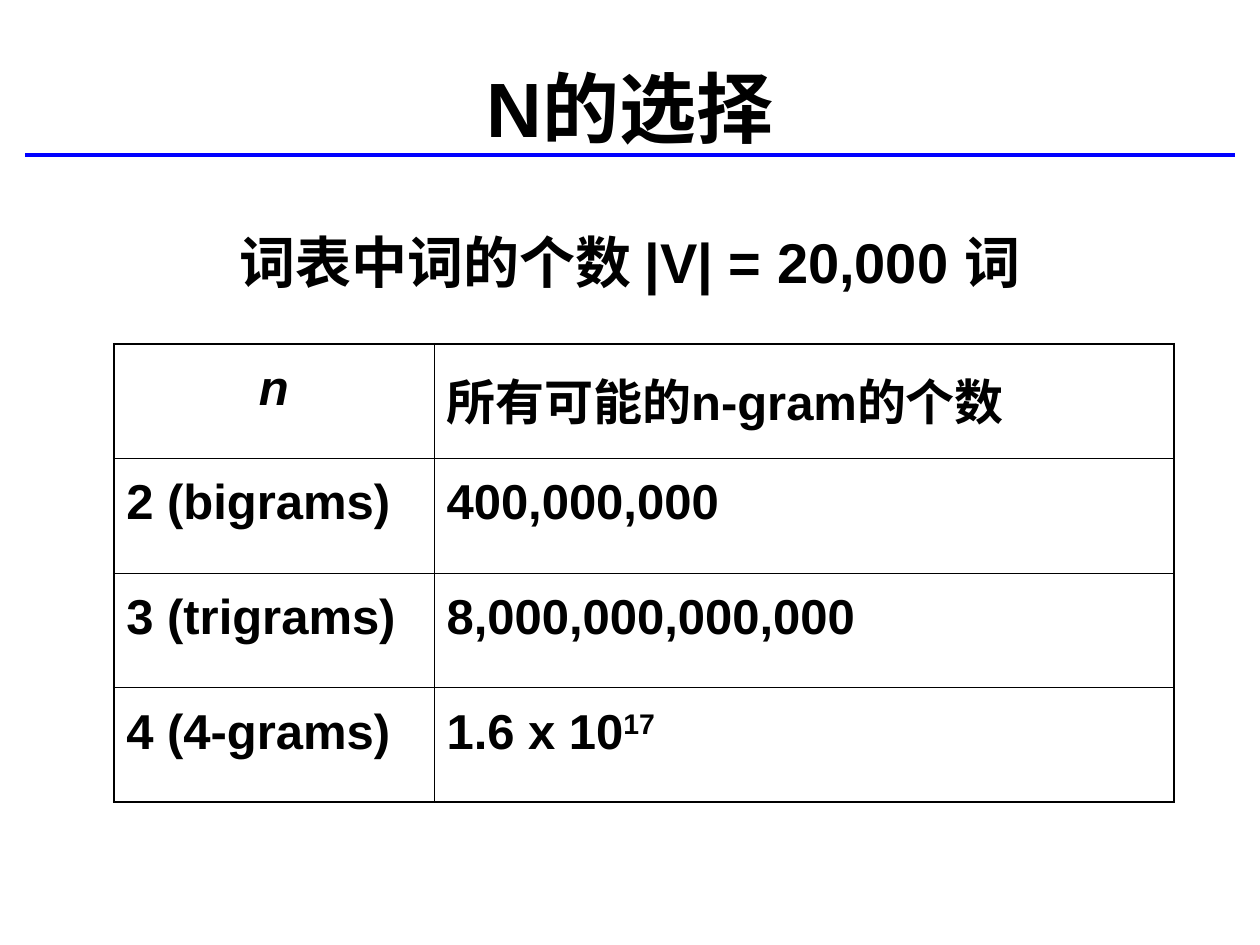
from dataclasses import dataclass

from lxml import etree
from pptx import Presentation
from pptx import util as u
from pptx.dml import color
from pptx.enum import shapes, text
from pptx.oxml import ns

FONT = "Arial"
BLACK = "000000"
BLUE = "0000FF"
OUTER_BORDER = u.Pt(1.08)
INNER_BORDER = u.Pt(0.45)


@dataclass
class Entry:
    text: str
    superscript: str = ""
    italic: bool = False
    centred: bool = False


COLUMN_WIDTHS = (183, 423)
ROW_HEIGHT = 65.5
ROWS = (
    (Entry("n", italic=True, centred=True), Entry("所有可能的n-gram的个数")),
    (Entry("2 (bigrams)"), Entry("400,000,000")),
    (Entry("3 (trigrams)"), Entry("8,000,000,000,000")),
    (Entry("4 (4-grams)"), Entry("1.6 x 10", superscript="17")),
)


def rgb(value: str) -> color.RGBColor:
    return color.RGBColor.from_string(value)


def style_paragraph(paragraph, size: float, centred: bool, italic: bool = False) -> None:
    paragraph.alignment = text.PP_ALIGN.CENTER if centred else text.PP_ALIGN.LEFT
    font = paragraph.font
    font.name = FONT
    font.size = u.Pt(size)
    font.bold = True
    font.italic = italic
    font.color.rgb = rgb(BLACK)


def add_rule(slide) -> None:
    rule = slide.shapes.add_connector(
        shapes.MSO_CONNECTOR.STRAIGHT, u.Pt(14.4), u.Pt(88.5), u.Pt(705.6), u.Pt(88.5)
    )
    rule.line.color.rgb = rgb(BLUE)
    rule.line.width = u.Pt(2.25)
    etree.SubElement(rule._element.spPr, ns.qn("a:effectLst"))


def add_heading(slide) -> None:
    box = slide.shapes.add_textbox(u.Pt(54), u.Pt(26), u.Pt(612), u.Pt(151))
    frame = box.text_frame
    frame.word_wrap = True
    frame.vertical_anchor = text.MSO_ANCHOR.MIDDLE
    title = frame.paragraphs[0]
    title.text = "N的选择"
    style_paragraph(title, 44, centred=True)
    vocabulary = frame.add_paragraph()
    vocabulary.text = "词表中词的个数 |V| = 20,000 词"
    vocabulary.space_before = u.Pt(43)
    style_paragraph(vocabulary, 32, centred=True)


def set_border(cell, side: str, width: int) -> None:
    properties = cell._tc.get_or_add_tcPr()
    border = etree.SubElement(properties, ns.qn(f"a:{side}"), w=str(int(width)))
    fill = etree.SubElement(border, ns.qn("a:solidFill"))
    etree.SubElement(fill, ns.qn("a:srgbClr"), val=BLACK)


def fill_cell(cell, entry: Entry) -> None:
    paragraph = cell.text_frame.paragraphs[0]
    paragraph.line_spacing = 1.2
    paragraph.add_run().text = entry.text
    style_paragraph(paragraph, 28, entry.centred, entry.italic)
    if entry.superscript:
        run = paragraph.add_run()
        run.text = entry.superscript
        run._r.get_or_add_rPr().set("baseline", "30000")


def add_count_table(slide) -> None:
    row_count, column_count = len(ROWS), len(COLUMN_WIDTHS)
    table = slide.shapes.add_table(
        row_count, column_count, u.Pt(65), u.Pt(196.4),
        u.Pt(sum(COLUMN_WIDTHS)), u.Pt(ROW_HEIGHT * row_count),
    ).table
    table.first_row = False
    table.horz_banding = False
    for column, width in zip(table.columns, COLUMN_WIDTHS):
        column.width = u.Pt(width)
    for row_index, entries in enumerate(ROWS):
        table.rows[row_index].height = u.Pt(ROW_HEIGHT)
        for column_index, entry in enumerate(entries):
            cell = table.cell(row_index, column_index)
            fill_cell(cell, entry)
            edges = {
                "lnL": column_index == 0,
                "lnR": column_index == column_count - 1,
                "lnT": row_index == 0,
                "lnB": row_index == row_count - 1,
            }
            for side, is_outer in edges.items():
                set_border(cell, side, OUTER_BORDER if is_outer else INNER_BORDER)
            cell.fill.background()


def main() -> None:
    presentation = Presentation()
    presentation.slide_width = u.Pt(720)
    presentation.slide_height = u.Pt(540)
    slide = presentation.slides.add_slide(presentation.slide_layouts[6])
    add_rule(slide)
    add_heading(slide)
    add_count_table(slide)
    presentation.save("out.pptx")


if __name__ == "__main__":
    main()
